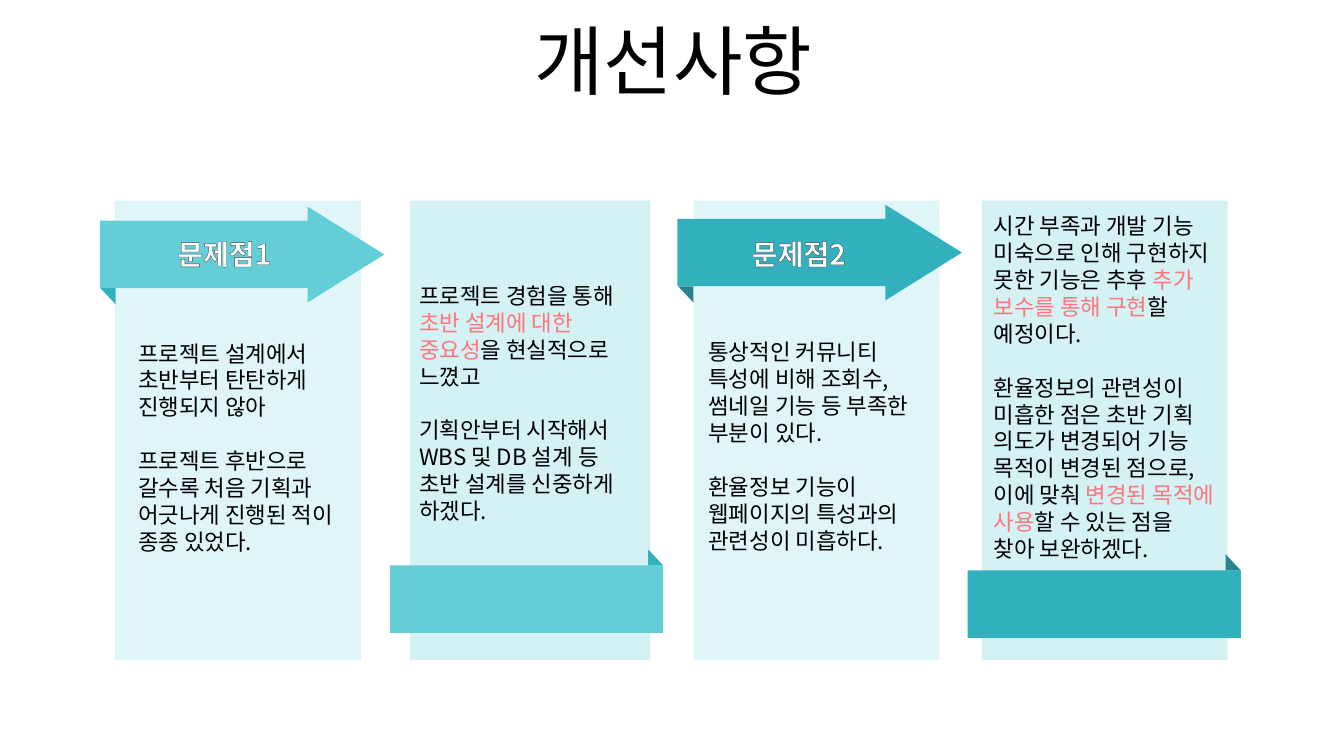
from lxml.etree import SubElement
from pptx import Presentation
from pptx.dml.color import RGBColor
from pptx.enum.shapes import MSO_SHAPE as Shape
from pptx.enum.text import MSO_ANCHOR as Anchor, PP_ALIGN as Align
from pptx.oxml import parse_xml
from pptx.oxml.ns import nsdecls, qn
from pptx.util import Pt

FONT = "Noto Sans CJK KR"
BLACK = RGBColor(0x00, 0x00, 0x00)
WHITE = RGBColor(0xFF, 0xFF, 0xFF)
CORAL = RGBColor(0xFF, 0x75, 0x7C)
PALE = RGBColor(0xE0, 0xF5, 0xF7)
MINT = RGBColor(0xD4, 0xF1, 0xF4)
AQUA = RGBColor(0x64, 0xCE, 0xD8)
AQUA_FOLD = RGBColor(0x30, 0xB1, 0xBD)
TEAL = RGBColor(0x32, 0xB0, 0xBE)
TEAL_FOLD = RGBColor(0x25, 0x84, 0x8E)

PANEL_TOP, PANEL_HEIGHT = 143.3, 328.3
RIBBON_HEIGHT = 48.2
FOLD_WIDTH, FOLD_HEIGHT = 10.8, 11.5
HEAD_LENGTH, HEAD_SPAN = 54.7, 68.4
LINE = 19.2


def add_block(slide, kind, left, top, width, height, color, rotation=0):
    shape = slide.shapes.add_shape(kind, Pt(left), Pt(top), Pt(width), Pt(height))
    shape.shadow.inherit = False
    shape.fill.solid()
    shape.fill.fore_color.rgb = color
    shape.line.fill.background()
    shape.rotation = rotation


def add_text(slide, box, paragraphs, size=16, color=BLACK, bold=None, outline=False,
             align=Align.LEFT, anchor=Anchor.TOP, spacing=Pt(LINE)):
    """Each paragraph is (space before, runs); a run is a string or (string, color)."""
    frame = slide.shapes.add_textbox(*map(Pt, box)).text_frame
    frame.word_wrap = True
    frame.vertical_anchor = anchor
    for index, (before, runs) in enumerate(paragraphs):
        paragraph = frame.paragraphs[0] if index == 0 else frame.add_paragraph()
        paragraph.alignment = align
        paragraph.line_spacing = spacing
        paragraph.space_before = Pt(before)
        for item in runs:
            text, run_color = (item, color) if isinstance(item, str) else item
            run = paragraph.add_run()
            run.text = text
            run.font.size = Pt(size)
            run.font.bold = bold
            run.font.name = FONT
            run.font.color.rgb = run_color
            properties = run.font._element
            SubElement(properties, qn("a:ea")).set("typeface", FONT)
            if outline:
                properties.insert(0, parse_xml(
                    f'<a:ln {nsdecls("a")} w="9525"><a:solidFill>'
                    '<a:srgbClr val="404040"/></a:solidFill></a:ln>'))


def add_title(slide, box, text):
    add_text(slide, box, [(0, [text])], size=54, align=Align.CENTER,
             anchor=Anchor.MIDDLE, spacing=0.9)


def add_problem(slide, box, ribbon_offset, colors, label, label_offset, text_area, paragraphs):
    left, top, width, height = box
    ribbon_color, fold_color = colors
    add_block(slide, Shape.RECTANGLE, *box, PALE)
    # Arrow-shaped ribbon with its fold
    x, y, ribbon_width = left + ribbon_offset[0], top + ribbon_offset[1], 149
    add_block(slide, Shape.RECTANGLE, x, y, ribbon_width, RIBBON_HEIGHT, ribbon_color)
    add_block(slide, Shape.RIGHT_TRIANGLE, x + 0.5, y + RIBBON_HEIGHT,
              FOLD_WIDTH, FOLD_HEIGHT, fold_color, 180)
    # The head is turned a quarter, so its frame is centred on the arrow tip area
    add_block(slide, Shape.ISOSCELES_TRIANGLE,
              x + ribbon_width + (HEAD_LENGTH - HEAD_SPAN) / 2 - 0.5,
              y + (RIBBON_HEIGHT - HEAD_LENGTH) / 2,
              HEAD_SPAN, HEAD_LENGTH, ribbon_color, 90)
    # Label and body
    add_text(slide, (left + label_offset, top + 22.3, 169.2, 31.7), [(0, [label])],
             size=20, color=WHITE, bold=True, outline=True, align=Align.CENTER,
             spacing=Pt(24))
    dx, dy, text_width, text_height = text_area
    add_text(slide, (left + dx, top + dy, text_width, text_height), paragraphs)


def add_solution(slide, box, ribbon_offset, colors, text_area, paragraphs):
    left, top, width, height = box
    ribbon_color, fold_color = colors
    add_block(slide, Shape.RECTANGLE, *box, MINT)
    # Flat ribbon with its fold
    x, y, ribbon_width = left + ribbon_offset[0], top + ribbon_offset[1], 195.1
    add_block(slide, Shape.RECTANGLE, x, y, ribbon_width, RIBBON_HEIGHT, ribbon_color)
    add_block(slide, Shape.RIGHT_TRIANGLE, x + ribbon_width - FOLD_WIDTH,
              y - FOLD_HEIGHT, FOLD_WIDTH, FOLD_HEIGHT, fold_color)
    # Body
    dx, dy, text_width, text_height = text_area
    add_text(slide, (left + dx, top + dy, text_width, text_height), paragraphs)


def main():
    presentation = Presentation()
    presentation.slide_width, presentation.slide_height = Pt(960), Pt(540)
    slide = presentation.slides.add_slide(presentation.slide_layouts[6])

    add_title(slide, (25.2, 18, 911.5, 56.9), "개선사항")

    # First problem and its solution
    add_problem(
        slide, (82.1, PANEL_TOP, 175.7, PANEL_HEIGHT), (-10.8, 14.4), (AQUA, AQUA_FOLD),
        "문제점1", -6.5, (9.4, 95.8, 166.3, 162.7),
        [(0, ["프로젝트 설계에서"]),
         (0, ["초반부터 탄탄하게 진행되지 않아"]),
         (LINE, ["프로젝트 후반으로 갈수록 처음 기획과 어긋나게 진행된 적이 종종 있었다."])])
    add_solution(
        slide, (293, PANEL_TOP, 171.4, PANEL_HEIGHT), (-14.4, 260.6), (AQUA, AQUA_FOLD),
        (-0.7, 54.7, 167.8, 181.4),
        [(0, ["프로젝트 경험을 통해"]),
         (0, [("초반 설계에 대한 중요성", CORAL), "을 현실적으로 느꼈고"]),
         (LINE, ["기획안부터 시작해서 WBS 및 DB 설계 등 초반 설계를 신중하게 하겠다."])])

    # Second problem and its solution
    add_problem(
        slide, (495.4, PANEL_TOP, 175.7, PANEL_HEIGHT), (-11.5, 13), (TEAL, TEAL_FOLD),
        "문제점2", -9.4, (3.6, 95, 175, 162.7),
        [(0, ["통상적인 커뮤니티 특성에 비해 조회수, 썸네일 기능 등 부족한"]),
         (0, ["부분이 있다."]),
         (LINE, ["환율정보 기능이 웹페이지의 특성과의 관련성이 미흡하다."])])
    add_solution(
        slide, (701.3, PANEL_TOP, 175.7, PANEL_HEIGHT), (-10.1, 264.2), (TEAL, TEAL_FOLD),
        (1.4, 5, 172.1, 259.2),
        [(0, ["시간 부족과 개발 기능 미숙으로 인해 구현하지 못한 기능은 추후 ",
              ("추가 보수를 통해 구현", CORAL), "할 예정이다."]),
         (LINE, ["환율정보의 관련성이 미흡한 점은 초반 기획 의도가 변경되어 기능 "
                 "목적이 변경된 점으로,"]),
         (0, ["이에 맞춰 ", ("변경된 목적에 사용", CORAL),
              "할 수 있는 점을 찾아 보완하겠다."])])

    presentation.save("out.pptx")


if __name__ == "__main__":
    main()
